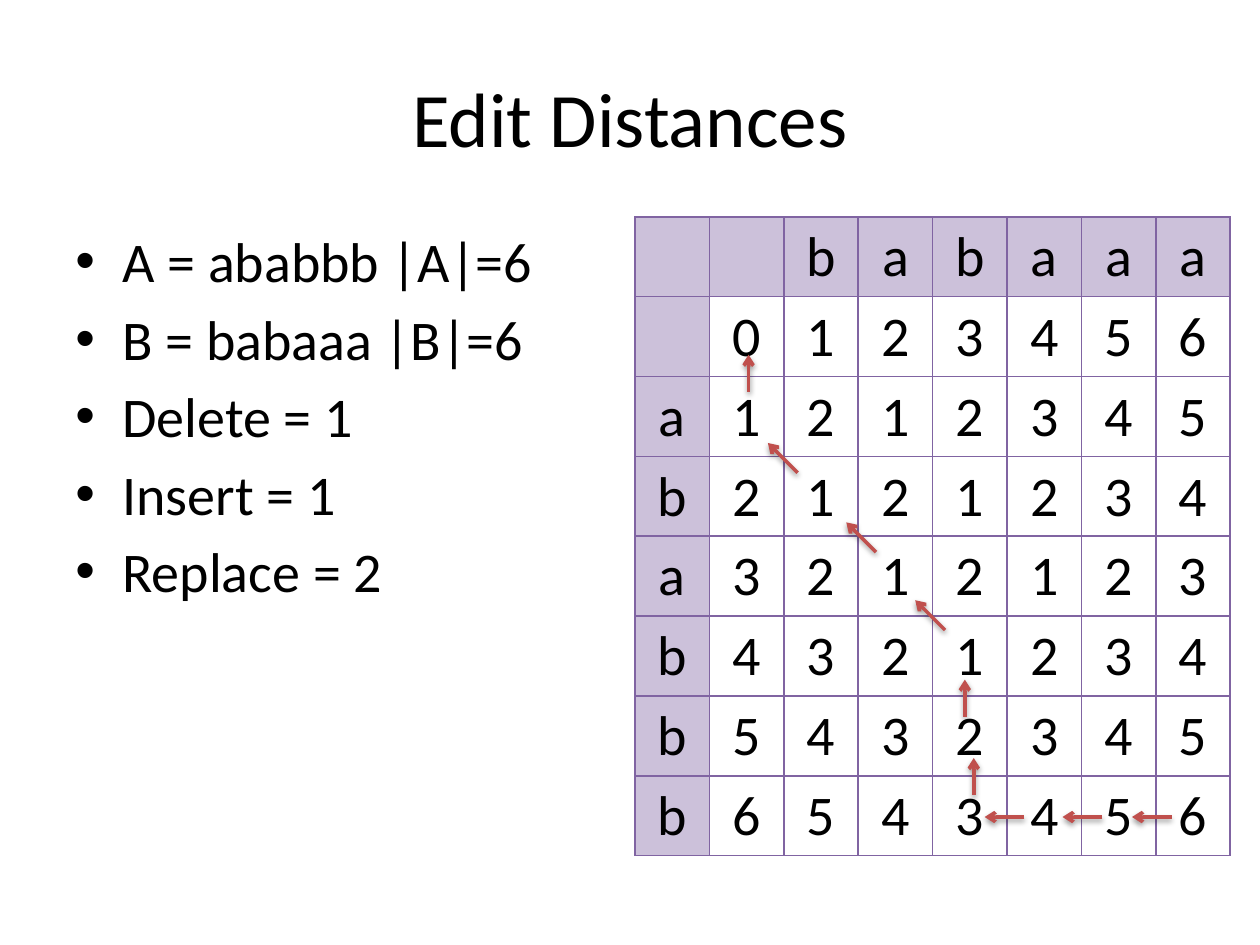
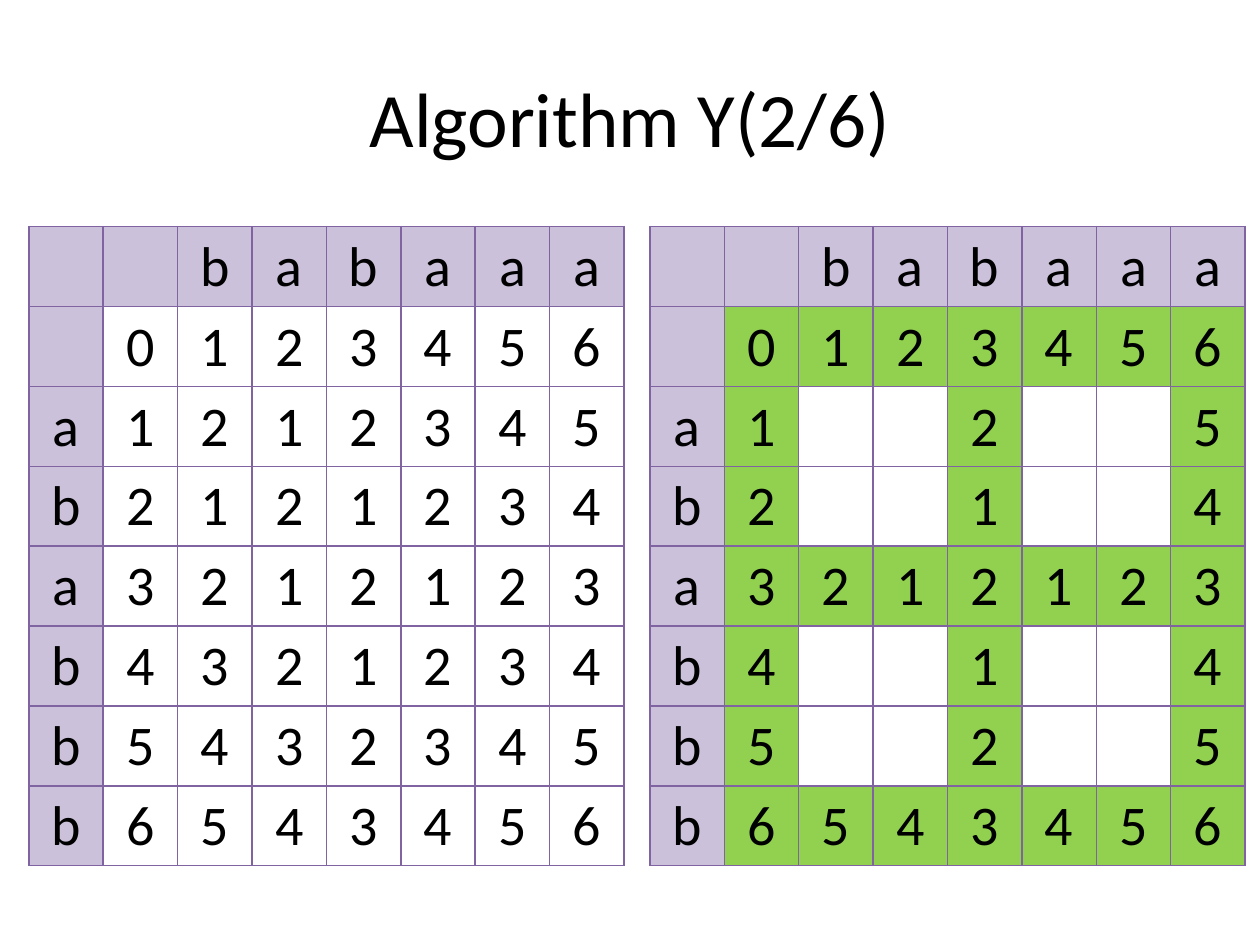
from pptx import Presentation, util as u
from pptx.dml.color import RGBColor
from pptx.enum import shapes, text
from pptx.oxml import parse_xml
from pptx.oxml.ns import nsdecls
from pptx.util import Cm, Pt

COLORS = {
    "text": "000000",
    "blank": "FFFFFF",
    "header": "CCC1DA",
    "border": "8064A2",
    "block": "92D050",
    "arrow": "C0504D",
}
FONT = "Calibri"
WORD_A, WORD_B = "ababbb", "babaaa"
INSERT = DELETE = 1
REPLACE = 2
BLOCK = 3  # distance between the highlighted rows and columns
COL_W, ROW_H = 1.5, 1.61

# Traceback steps: direction and length in cm
LEFT, UP, DIAGONAL = (-0.8, 0), (0, -0.75), (-0.6, -0.6)
TRACEBACK = [  # start in cm from the table corner, step
    (10.82, 12.1, LEFT), (9.42, 12.1, LEFT), (7.85, 12.1, LEFT),
    (6.83, 11.66, UP), (6.65, 10.08, UP),
    (6.25, 8.33, DIAGONAL), (4.86, 6.76, DIAGONAL), (3.28, 5.16, DIAGONAL),
    (2.29, 3.53, UP),
]


def rgb(name):
    return RGBColor.from_string(COLORS[name])


def add_xml(parent, xml):
    """Append a drawing element written without its namespace declaration."""
    tag, rest = xml[:xml.index(" ")], xml[xml.index(" "):]
    parent.append(parse_xml(f"{tag} {nsdecls('a')}{rest}"))


def write(p, content, size=32, align=None, bullet=False, before=0):
    if bullet:
        pPr = p._p.get_or_add_pPr()
        pPr.set("marL", str(Cm(0.95)))
        pPr.set("indent", str(-Cm(0.95)))
        add_xml(pPr, '<a:buFont typeface="Arial"/>')
        add_xml(pPr, '<a:buChar char="•"/>')
    if align:
        p.alignment = align
    if before:
        p.space_before = Pt(before)
    r = p.add_run()
    r.text = content
    r.font.size = Pt(size)
    r.font.name = FONT
    r.font.color.rgb = rgb("text")


def text_frame(slide, left, top, width, height, anchor):
    sp = slide.shapes.add_textbox(Cm(left), Cm(top), Cm(width), Cm(height))
    tf = sp.text_frame
    tf.word_wrap = True
    tf.vertical_anchor = anchor
    return tf


def add_title_slide(prs, title):
    slide = prs.slides.add_slide(prs.slide_layouts[6])
    tf = text_frame(slide, 1.27, 0.76, 22.86, 3.18, text.MSO_ANCHOR.MIDDLE)
    write(tf.paragraphs[0], title, size=44, align=text.PP_ALIGN.CENTER)
    return slide


def add_bullets(slide, left, top, width, height, lines):
    tf = text_frame(slide, left, top, width, height, text.MSO_ANCHOR.TOP)
    for i, line in enumerate(lines):
        p = tf.add_paragraph() if i else tf.paragraphs[0]
        write(p, line, bullet=True, before=5.8 if i else 0)


def edit_distances(a, b):
    d = [[i * DELETE + j * INSERT for j in range(len(b) + 1)]
         for i in range(len(a) + 1)]
    for i, x in enumerate(a, 1):
        for j, y in enumerate(b, 1):
            d[i][j] = min(d[i - 1][j] + DELETE,
                          d[i][j - 1] + INSERT,
                          d[i - 1][j - 1] + (0 if x == y else REPLACE))
    return d


def format_cell(cell, content, fill):
    tcPr = cell._tc.get_or_add_tcPr()
    for side in "LRTB":
        add_xml(tcPr, f'<a:ln{side} w="{Pt(1)}"><a:solidFill>'
                      f'<a:srgbClr val="{COLORS["border"]}"/>'
                      f'</a:solidFill></a:ln{side}>')
    cell.fill.solid()
    cell.fill.fore_color.rgb = rgb(fill)
    cell.vertical_anchor = text.MSO_ANCHOR.MIDDLE
    if content:
        write(cell.text_frame.paragraphs[0], content,
              align=text.PP_ALIGN.CENTER)


def add_distance_table(slide, left, top, blocks_only=False):
    distances = edit_distances(WORD_A, WORD_B)
    rows, cols = len(WORD_A) + 2, len(WORD_B) + 2
    table = slide.shapes.add_table(rows, cols, Cm(left), Cm(top),
                                   Cm(cols * COL_W), Cm(rows * ROW_H)).table
    table.first_row = table.horz_banding = False
    for col in table.columns:
        col.width = Cm(COL_W)
    for row in table.rows:
        row.height = Cm(ROW_H)

    # Letters head the rows and columns; distances fill the rest
    for i in range(rows):
        for j in range(cols):
            on_block = (i - 1) % BLOCK == 0 or (j - 1) % BLOCK == 0
            if i == 0:
                content, fill = ("  " + WORD_B)[j].strip(), "header"
            elif j == 0:
                content, fill = ("  " + WORD_A)[i].strip(), "header"
            elif blocks_only and not on_block:
                content, fill = "", "blank"
            else:
                content = str(distances[i - 1][j - 1])
                fill = "block" if blocks_only else "blank"
            format_cell(table.cell(i, j), content, fill)


def add_traceback(slide, left, top):
    for x, y, (dx, dy) in TRACEBACK:
        x, y = left + x, top + y
        line = slide.shapes.add_connector(
            shapes.MSO_CONNECTOR.STRAIGHT,
            Cm(x), Cm(y), Cm(x + dx), Cm(y + dy))
        line.line.color.rgb = rgb("arrow")
        line.line.width = Pt(2)
        add_xml(line.line._get_or_add_ln(), '<a:tailEnd type="arrow"/>')
        # Soft shadow below the arrow
        add_xml(line._element.spPr,
                f'<a:effectLst ><a:outerShdw blurRad="{Pt(3.1)}" '
                f'dist="{Pt(1.6)}" dir="5400000" rotWithShape="0">'
                f'<a:srgbClr val="{COLORS["text"]}"><a:alpha val="38000"/>'
                '</a:srgbClr></a:outerShdw></a:effectLst>')


def build_edit_distances(prs):
    slide = add_title_slide(prs, "Edit Distances")
    add_bullets(slide, 1.27, 4.45, 22.86, 12.57, [
        f"A = {WORD_A} |A|={len(WORD_A)}",
        f"B = {WORD_B} |B|={len(WORD_B)}",
        f"Delete = {DELETE}",
        f"Insert = {INSERT}",
        f"Replace = {REPLACE}",
    ])
    left, top = 12.8, 4.37
    add_distance_table(slide, left, top)
    add_traceback(slide, left, top)


def build_algorithm(prs):
    slide = add_title_slide(prs, "Algorithm Y(2/6)")
    top = 4.57
    add_distance_table(slide, 13.1, top, blocks_only=True)
    add_distance_table(slide, 0.58, top)


def main():
    prs = Presentation()
    prs.slide_width, prs.slide_height = u.Cm(25.4), u.Cm(19.05)
    build_edit_distances(prs)
    build_algorithm(prs)
    prs.save("out.pptx")


if __name__ == "__main__":
    main()
